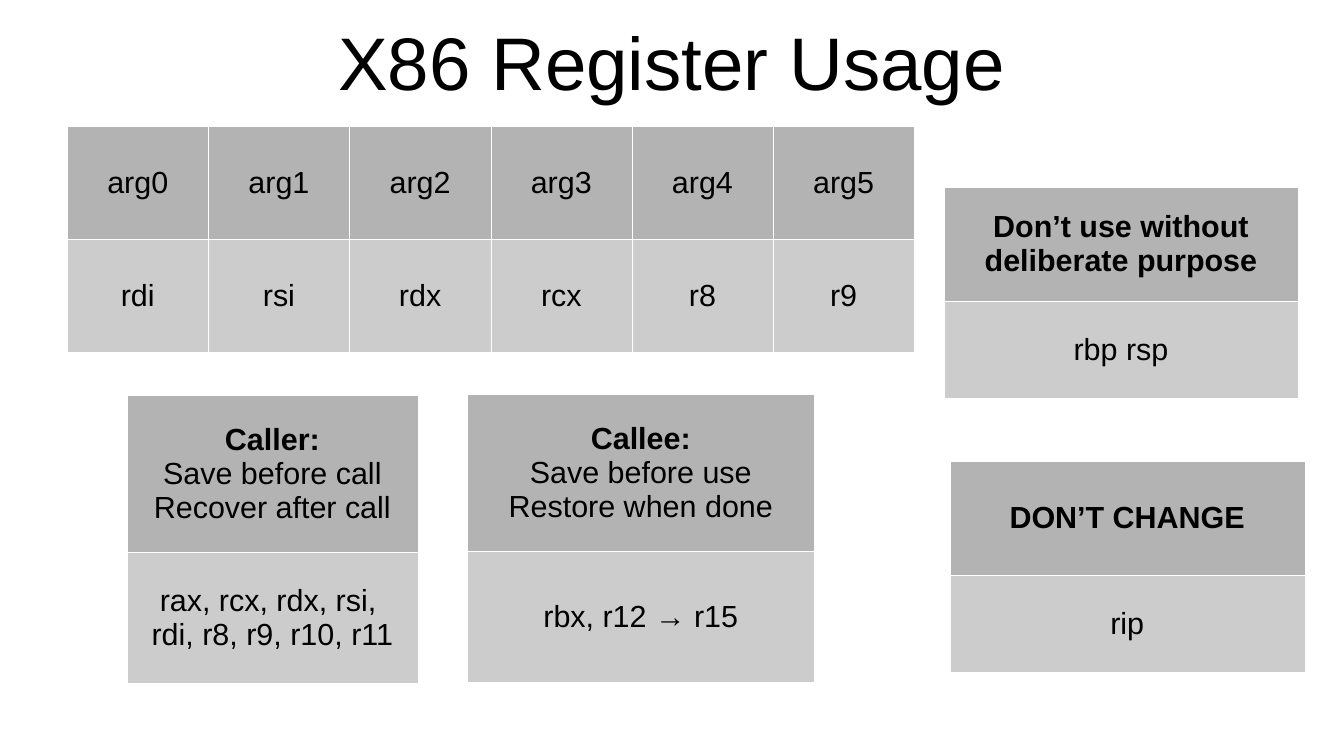
from dataclasses import dataclass

from lxml import etree
from pptx import Presentation
from pptx import util as u
from pptx.dml.color import RGBColor
from pptx.enum import text as t
from pptx.oxml import ns

BLACK = RGBColor(0x00, 0x00, 0x00)
WHITE = RGBColor(0xFF, 0xFF, 0xFF)
HEADER_GRAY = RGBColor(0xB3, 0xB3, 0xB3)
BODY_GRAY = RGBColor(0xCC, 0xCC, 0xCC)
BORDER_WIDTH = u.Pt(0.06)


@dataclass(frozen=True)
class Line:
    text: str
    bold: bool = False


@dataclass(frozen=True)
class RegisterTable:
    """Sizes in centimetres; each cell is a list of lines."""
    left: float
    top: float
    width: float
    row_heights: tuple[float, float]
    header: list[list[Line]]
    body: list[list[Line]]


ARGUMENT_REGISTERS = ["rdi", "rsi", "rdx", "rcx", "r8", "r9"]

TABLES = [
    RegisterTable(1.4, 2.62, 17.65, (2.36, 2.36),
                  [[Line(f"arg{i}")] for i in range(len(ARGUMENT_REGISTERS))],
                  [[Line(name)] for name in ARGUMENT_REGISTERS]),
    RegisterTable(19.66, 3.89, 7.39, (2.39, 2.01),
                  [[Line("Don’t use without deliberate purpose", bold=True)]],
                  [[Line("rbp rsp")]]),
    RegisterTable(9.73, 8.21, 7.24, (3.27, 2.73),
                  [[Line("Callee:", bold=True), Line("Save before use"),
                    Line("Restore when done")]],
                  [[Line("rbx, r12 → r15")]]),
    RegisterTable(2.64, 8.23, 6.07, (3.27, 2.73),
                  [[Line("Caller:", bold=True), Line("Save before call"),
                    Line("Recover after call")]],
                  [[Line("rax, rcx, rdx, rsi, "), Line("rdi, r8, r9, r10, r11")]]),
    RegisterTable(19.79, 9.6, 7.39, (2.39, 2.01),
                  [[Line("DON’T CHANGE", bold=True)]],
                  [[Line("rip")]]),
]


def write_line(paragraph, content: str, *, size: float = 18, bold: bool = False,
               color: RGBColor = BLACK, font: str = "Arial") -> None:
    paragraph.alignment = t.PP_ALIGN.CENTER
    run = paragraph.add_run()
    run.text = content
    run.font.name = font
    run.font.size = u.Pt(size)
    run.font.bold = bold
    run.font.color.rgb = color


def add_borders(cell) -> None:
    """Put a white hairline on each side, ahead of the cell's fill."""
    properties = cell._tc.get_or_add_tcPr()
    for position, side in enumerate(("a:lnL", "a:lnR", "a:lnT", "a:lnB")):
        border = etree.Element(ns.qn(side), w=str(int(BORDER_WIDTH)))
        fill = etree.SubElement(border, ns.qn("a:solidFill"))
        etree.SubElement(fill, ns.qn("a:srgbClr"), val=str(WHITE))
        properties.insert(position, border)


def fill_cell(cell, lines: list[Line], color: RGBColor) -> None:
    cell.vertical_anchor = t.MSO_ANCHOR.MIDDLE
    cell.fill.solid()
    cell.fill.fore_color.rgb = color
    add_borders(cell)
    frame = cell.text_frame
    for index, line in enumerate(lines):
        paragraph = frame.add_paragraph() if index else frame.paragraphs[0]
        write_line(paragraph, line.text, bold=line.bold)


def add_register_table(slide, spec: RegisterTable) -> None:
    column_count = len(spec.header)
    table = slide.shapes.add_table(
        2, column_count, u.Cm(spec.left), u.Cm(spec.top),
        u.Cm(spec.width), u.Cm(sum(spec.row_heights))).table
    for column in table.columns:
        column.width = u.Cm(spec.width / column_count)
    for row, height in zip(table.rows, spec.row_heights):
        row.height = u.Cm(height)
    for row_index, (cells, color) in enumerate(
            [(spec.header, HEADER_GRAY), (spec.body, BODY_GRAY)]):
        for column_index, lines in enumerate(cells):
            fill_cell(table.cell(row_index, column_index), lines, color)


def add_title(slide, content: str) -> None:
    title = slide.shapes.add_textbox(u.Cm(1.4), u.Cm(0.41), u.Cm(25.2), u.Cm(1.73))
    frame = title.text_frame
    frame.word_wrap = True
    frame.vertical_anchor = t.MSO_ANCHOR.MIDDLE
    frame.margin_left = frame.margin_right = 0
    frame.margin_top = frame.margin_bottom = 0
    write_line(frame.paragraphs[0], content, size=44)


def main() -> None:
    presentation = Presentation()
    presentation.slide_width = u.Cm(28)
    presentation.slide_height = u.Cm(15.75)
    slide = presentation.slides.add_slide(presentation.slide_layouts[6])
    add_title(slide, "X86 Register Usage")
    for spec in TABLES:
        add_register_table(slide, spec)
    presentation.save("out.pptx")


if __name__ == "__main__":
    main()
